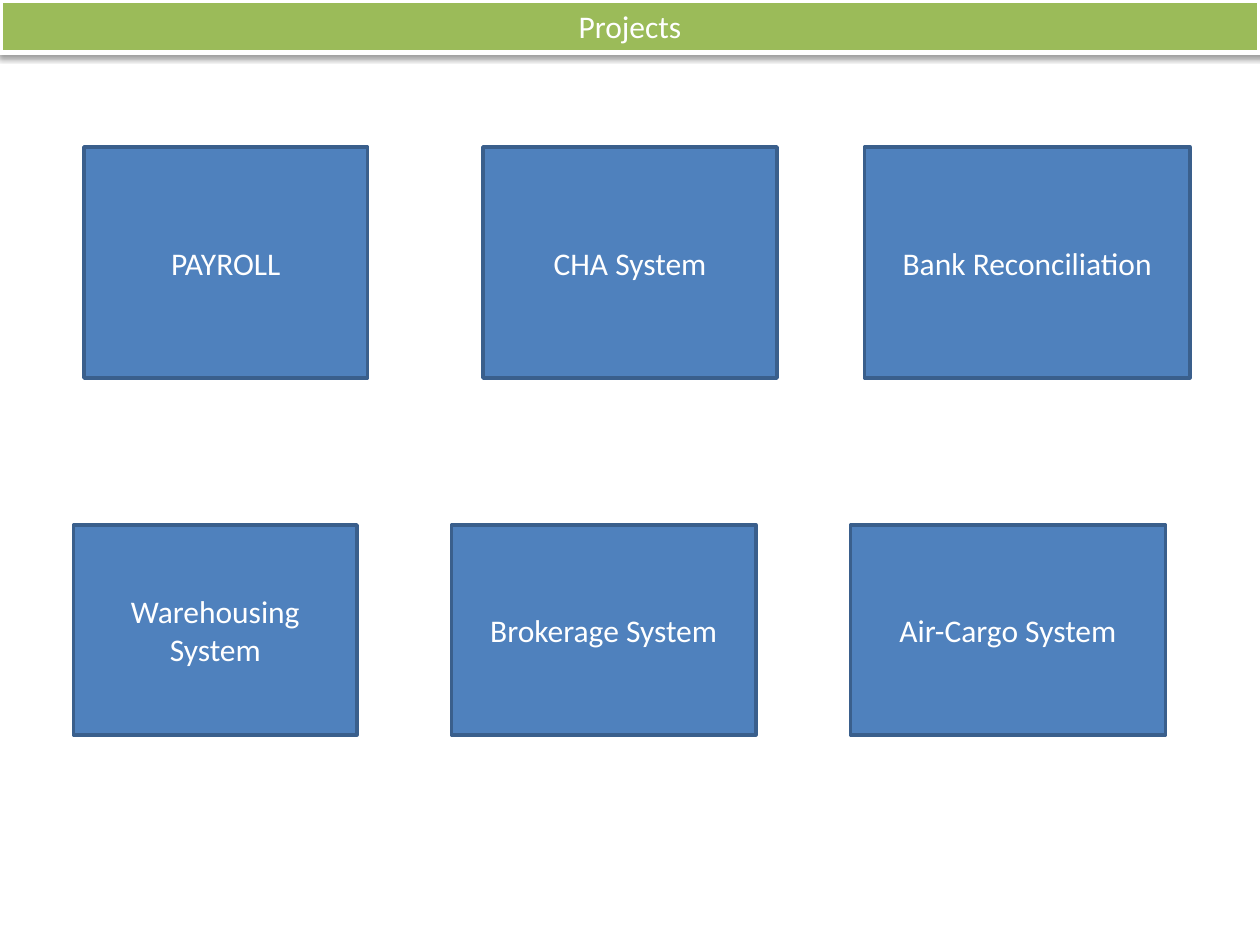
"""Build the Projects slide with a title bar and two rows of project boxes."""
import lxml.etree
import pptx
import pptx.dml.color
import pptx.enum.shapes
import pptx.enum.text
import pptx.oxml.ns
import pptx.util

COLORS = {
    "box": "4F81BD",
    "box_line": "3A5F8C",
    "bar": "9BBB59",
    "white": "FFFFFF",
    "shadow": "000000",
}

PROJECT_ROWS = [
    (84, 132, [("PAYROLL", 48, 162), ("CHA System", 276, 168),
               ("Bank Reconciliation", 494, 186)]),
    (300, 120, [("Warehousing System", 42, 162), ("Brokerage System", 258, 174),
                ("Air-Cargo System", 486, 180)]),
]


def color(name):
    return pptx.dml.color.RGBColor.from_string(COLORS[name])


def write_text(shape, text, *, size=18, font="Calibri", text_color="white"):
    frame = shape.text_frame
    frame.word_wrap = True
    frame.vertical_anchor = pptx.enum.text.MSO_ANCHOR.MIDDLE
    paragraph = frame.paragraphs[0]
    paragraph.alignment = pptx.enum.text.PP_ALIGN.CENTER
    run = paragraph.add_run()
    run.text = text
    run.font.size = pptx.util.Pt(size)
    run.font.name = font
    run.font.color.rgb = color(text_color)


def add_box(slide, text, left, top, width, height, *,
            fill="box", line="box_line", line_width=2):
    shape = slide.shapes.add_shape(
        pptx.enum.shapes.MSO_SHAPE.RECTANGLE,
        *(pptx.util.Pt(length) for length in (left, top, width, height)))
    shape.shadow.inherit = False
    shape.fill.solid()
    shape.fill.fore_color.rgb = color(fill)
    shape.line.color.rgb = color(line)
    shape.line.width = pptx.util.Pt(line_width)
    write_text(shape, text)
    return shape


def add_shadow(shape, *, blur, distance, degrees, opacity):
    qualified = pptx.oxml.ns.qn
    effects = shape._element.spPr.find(qualified("a:effectLst"))
    shadow = lxml.etree.SubElement(
        effects, qualified("a:outerShdw"),
        blurRad=str(pptx.util.Pt(blur)), dist=str(pptx.util.Pt(distance)),
        dir=str(degrees * 60000), rotWithShape="0")
    shade = lxml.etree.SubElement(
        shadow, qualified("a:srgbClr"), val=COLORS["shadow"])
    lxml.etree.SubElement(
        shade, qualified("a:alpha"), val=str(opacity * 1000))


def main():
    presentation = pptx.Presentation()
    presentation.slide_width = pptx.util.Pt(720)
    presentation.slide_height = pptx.util.Pt(540)
    slide = presentation.slides.add_slide(presentation.slide_layouts[6])

    title_bar = add_box(slide, "Projects", 0, 0, 720, 30,
                        fill="bar", line="white", line_width=3)
    add_shadow(title_bar, blur=3.15, distance=1.57, degrees=90, opacity=38)

    for top, height, projects in PROJECT_ROWS:
        for name, left, width in projects:
            add_box(slide, name, left, top, width, height)

    presentation.save("out.pptx")


main()
